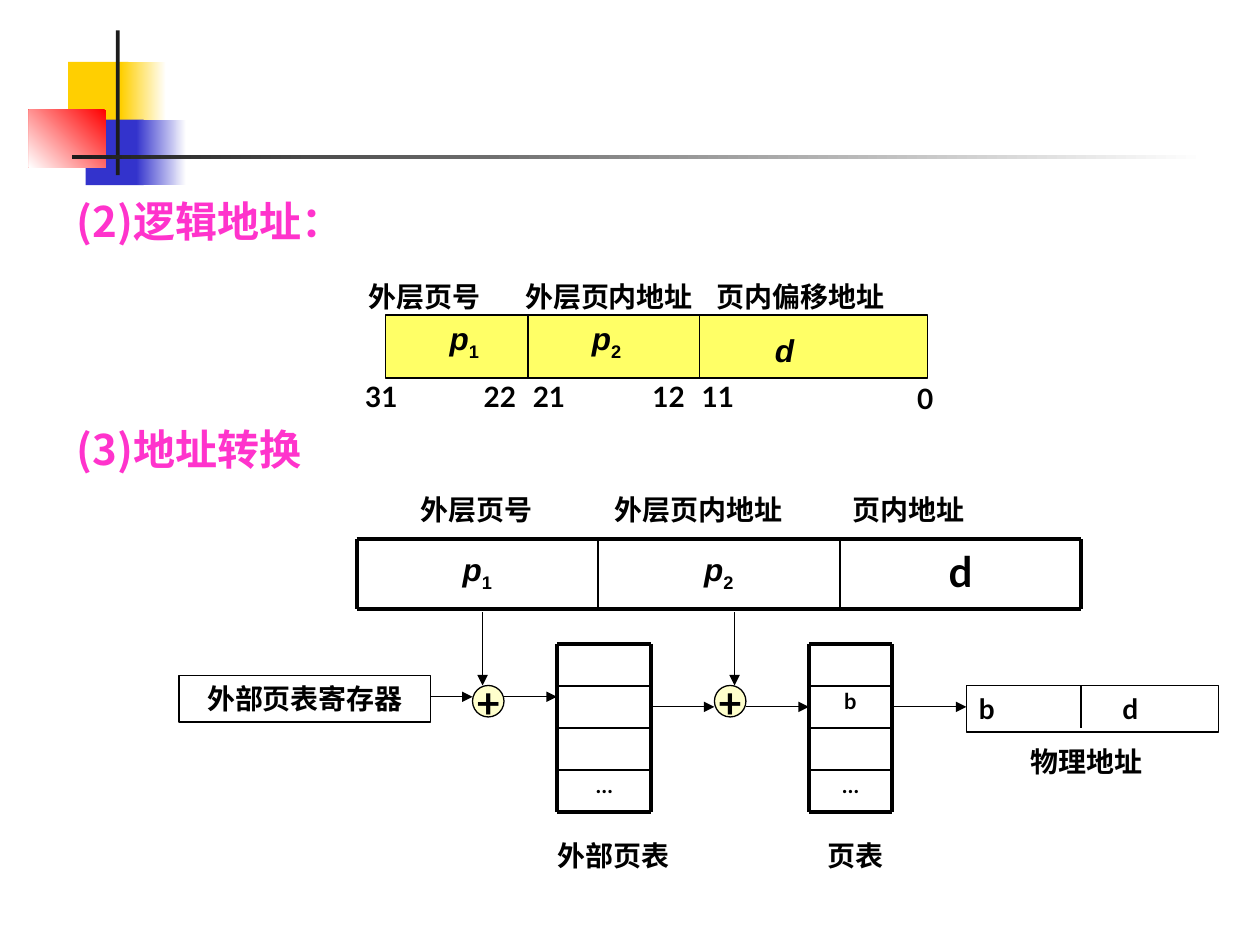
from lxml.etree import SubElement
from pptx import Presentation
from pptx.dml.color import RGBColor
from pptx.enum.shapes import MSO_CONNECTOR, MSO_SHAPE
from pptx.enum.text import MSO_ANCHOR, MSO_AUTO_SIZE, PP_ALIGN
from pptx.oxml.ns import qn
from pptx.util import Inches, Pt

BLACK = RGBColor(0x00, 0x00, 0x00)
WHITE = RGBColor(0xFF, 0xFF, 0xFF)
PINK = RGBColor(0xFF, 0x33, 0xCC)
GOLD = RGBColor(0xFF, 0xCF, 0x01)
BLUE = RGBColor(0x33, 0x33, 0xCC)
RED = RGBColor(0xFF, 0x00, 0x00)
DARK = RGBColor(0x1C, 0x1C, 0x1C)
CREAM = RGBColor(0xFF, 0xFF, 0xCC)
YELLOW = RGBColor(0xFF, 0xFF, 0x66)
CJK, LATIN, SYMBOL = "Noto Sans CJK SC", "Lato", "Arial"
THICK, MEDIUM, THIN = 2.25, 1, 0.75
LEFT, CENTER = PP_ALIGN.LEFT, PP_ALIGN.CENTER

# Content: text and left, top, width, height in inches
HEADINGS = ["(2)逻辑地址：", "(3)地址转换"]
DECORATION = [  # place, colours, clockwise gradient angle
    ((0.54, 0.49, 0.48, 0.52), [GOLD], 0),
    ((0.96, 0.49, 0.36, 0.52), [WHITE, GOLD], 180),
    ((0.68, 0.95, 0.46, 0.52), [BLUE], 0),
    ((1.08, 0.95, 0.40, 0.52), [WHITE, BLUE], 180),
    ((0.23, 0.87, 0.61, 0.46), [RED, WHITE], 135),
    ((0.92, 0.24, 0.03, 1.15), [DARK], 0),
    ((0.57, 1.23, 9.00, 0.03), [WHITE, DARK], 180),
]
LABELS = [
    ("外层页号", 2.83, 2.17, 1.2), ("外层页内地址", 4.07, 2.17, 1.55),
    ("页内偏移地址", 5.59, 2.17, 1.55),
    ("外层页号", 3.24, 3.86, 1.2), ("外层页内地址", 4.78, 3.86, 1.6),
    ("页内地址", 6.67, 3.86, 1.2),
    ("外部页表", 4.33, 6.61, 1.17), ("页表", 6.47, 6.61, 0.83),
    ("物理地址", 8.08, 5.86, 1.17), ("d", 8.81, 5.44, 0.4),
    ("31", 2.80, 2.96, 0.55), ("22", 3.74, 2.96, 0.55),
    ("21", 4.13, 2.96, 0.55), ("12", 5.08, 2.96, 0.55),
    ("11", 5.47, 2.96, 0.55), ("0", 7.18, 2.98, 0.34),
]
FIELDS = [  # symbol, subscript, place in the logical address
    ("p", "1", (3.47, 2.48, 0.43, 0.44)),
    ("p", "2", (4.60, 2.48, 0.43, 0.44)),
    ("d", "", (6.05, 2.58, 0.35, 0.40)),
]
ADDRESS_LEFT, ADDRESS_TOP, ADDRESS_WIDTH, ADDRESS_HEIGHT = 2.83, 4.28, 1.917, 0.555
TABLE_TOP, ROW_HEIGHT, ROWS = 5.11, 1 / 3, 4
PAGE_TABLES = [(4.42, 5.17, {3: "…"}), (6.42, 7.08, {1: "b", 3: "…"})]
ADDERS = [3.75, 5.67]
ARROWS = [
    (3.83, 4.86, 3.83, 5.44), (5.83, 4.86, 5.83, 5.44),
    (3.42, 5.53, 3.75, 5.53), (4.00, 5.53, 4.42, 5.53),
    (5.17, 5.61, 5.67, 5.61), (5.92, 5.61, 6.42, 5.61),
    (7.08, 5.61, 7.67, 5.61),
]

presentation = Presentation()
presentation.slide_width, presentation.slide_height = Inches(10), Inches(7.5)
slide = presentation.slides.add_slide(presentation.slide_layouts[1])
slide.shapes.title.element.getparent().remove(slide.shapes.title.element)


def add_run(paragraph, text, size, font=LATIN, color=BLACK, italic=False, subscript=False):
    run = paragraph.add_run()
    run.text = text
    run.font.name, run.font.size = font, Pt(size)
    run.font.bold, run.font.italic = True, italic
    run.font.color.rgb = color
    properties = run.font._element
    SubElement(properties, qn("a:ea")).set("typeface", CJK)
    if subscript:
        properties.set("baseline", "-25000")


def set_text(shape, runs, align=LEFT, spacing=1.0, wrap=True, anchor=MSO_ANCHOR.TOP):
    """Each run is a tuple of arguments for add_run."""
    frame = shape.text_frame
    frame.word_wrap, frame.vertical_anchor = wrap, anchor
    paragraph = frame.paragraphs[0]
    paragraph.alignment, paragraph.line_spacing = align, spacing
    for run in runs:
        add_run(paragraph, *run)


def add_text(place, runs, **layout):
    set_text(slide.shapes.add_textbox(*map(Inches, place)), runs, **layout)


def add_box(place, colors=(), angle=0, outline=True, kind=MSO_SHAPE.RECTANGLE):
    shape = slide.shapes.add_shape(kind, *map(Inches, place))
    shape.shadow.inherit = False
    if len(colors) == 2:
        shape.fill.gradient()
        shape.fill.gradient_angle = (360 - angle) % 360
        for stop, color, position in zip(shape.fill.gradient_stops, colors, (0, 1)):
            stop.color.rgb, stop.position = color, position
    elif colors:
        shape.fill.solid()
        shape.fill.fore_color.rgb = colors[0]
    else:
        shape.fill.background()
    if outline:
        shape.line.color.rgb, shape.line.width = BLACK, Pt(THIN)
    else:
        shape.line.fill.background()
    return shape


def add_line(ends, width=THIN, arrow=False):
    line = slide.shapes.add_connector(MSO_CONNECTOR.STRAIGHT, *map(Inches, ends))
    line.line.color.rgb, line.line.width = BLACK, Pt(width)
    if arrow:
        SubElement(line.line._get_or_add_ln(), qn("a:tailEnd")).set("type", "triangle")
    SubElement(line._element.spPr, qn("a:effectLst"))


def add_grid(columns, rows):
    """Rule a grid with thick outer and medium inner lines."""
    for y in rows:
        add_line((columns[0], y, columns[-1], y), THICK if y in (rows[0], rows[-1]) else MEDIUM)
    for x in columns:
        add_line((x, rows[0], x, rows[-1]), THICK if x in (columns[0], columns[-1]) else MEDIUM)


# Corner decoration
for place, colors, angle in DECORATION:
    add_box(place, colors, angle, outline=False)

# Section headings
body = slide.placeholders[1]
body.left, body.top, body.width, body.height = map(Inches, (0.51, 1.42, 8.82, 5.4))
frame = body.text_frame
frame.auto_size, frame.vertical_anchor = MSO_AUTO_SIZE.NONE, MSO_ANCHOR.TOP
for index, heading in enumerate(HEADINGS):
    paragraph = frame.add_paragraph() if index else frame.paragraphs[0]
    properties = paragraph._p.get_or_add_pPr()
    properties.set("marL", "0")
    properties.set("indent", "0")
    SubElement(properties, qn("a:buNone"))
    paragraph.line_spacing, paragraph.space_before = 1.2, Pt(96 * index)
    add_run(paragraph, heading, 24, CJK, PINK)

# Logical address
add_box((3.06, 2.5, 4.3, 0.5), [YELLOW])
for symbol, subscript, place in FIELDS:
    runs = [(symbol, 18, SYMBOL, BLACK, True)]
    if subscript:
        runs.append((subscript, 18, SYMBOL, BLACK, False, True))
    add_text(place, runs, align=CENTER, wrap=False, anchor=MSO_ANCHOR.MIDDLE)
for x in (4.19, 5.55):
    add_line((x, 2.5, x, 3))

# Address to be translated
columns = [ADDRESS_LEFT + ADDRESS_WIDTH * index for index in range(4)]
for x, subscript in zip(columns, "12"):
    add_text((x, ADDRESS_TOP, ADDRESS_WIDTH, ADDRESS_HEIGHT),
             [("p", 18, SYMBOL, BLACK, True), (subscript, 18, SYMBOL, BLACK, False, True)],
             align=CENTER, spacing=1.1)
add_text((columns[2], ADDRESS_TOP, ADDRESS_WIDTH, ADDRESS_HEIGHT), [("d", 24)], align=CENTER)
add_grid(columns, [ADDRESS_TOP, ADDRESS_TOP + ADDRESS_HEIGHT])

# Outer page table and page table
rows = [TABLE_TOP + ROW_HEIGHT * index for index in range(ROWS + 1)]
for left, right, entries in PAGE_TABLES:
    for row, entry in entries.items():
        add_text((left, rows[row], right - left, ROW_HEIGHT), [(entry, 12.5)],
                 align=CENTER, spacing=0.85)
    add_grid([left, right], rows)

# Register, adders and physical address
set_text(add_box((1.42, 5.36, 2, 0.37)), [("外部页表寄存器", 16)], align=CENTER)
for x in ADDERS:
    adder = add_box((x, 5.44, 0.25, 0.25), [CREAM], kind=MSO_SHAPE.OVAL)
    set_text(adder, [("+", 24)], align=CENTER, wrap=False, anchor=MSO_ANCHOR.MIDDLE)
set_text(add_box((7.67, 5.44, 2, 0.37)), [("b", 16)])
add_line((8.58, 5.44, 8.58, 5.78))

# Arrows and labels
for ends in ARROWS:
    add_line(ends, arrow=True)
for text, left, top, width in LABELS:
    add_text((left, top, width, 0.37), [(text, 16)])

presentation.save("out.pptx")
